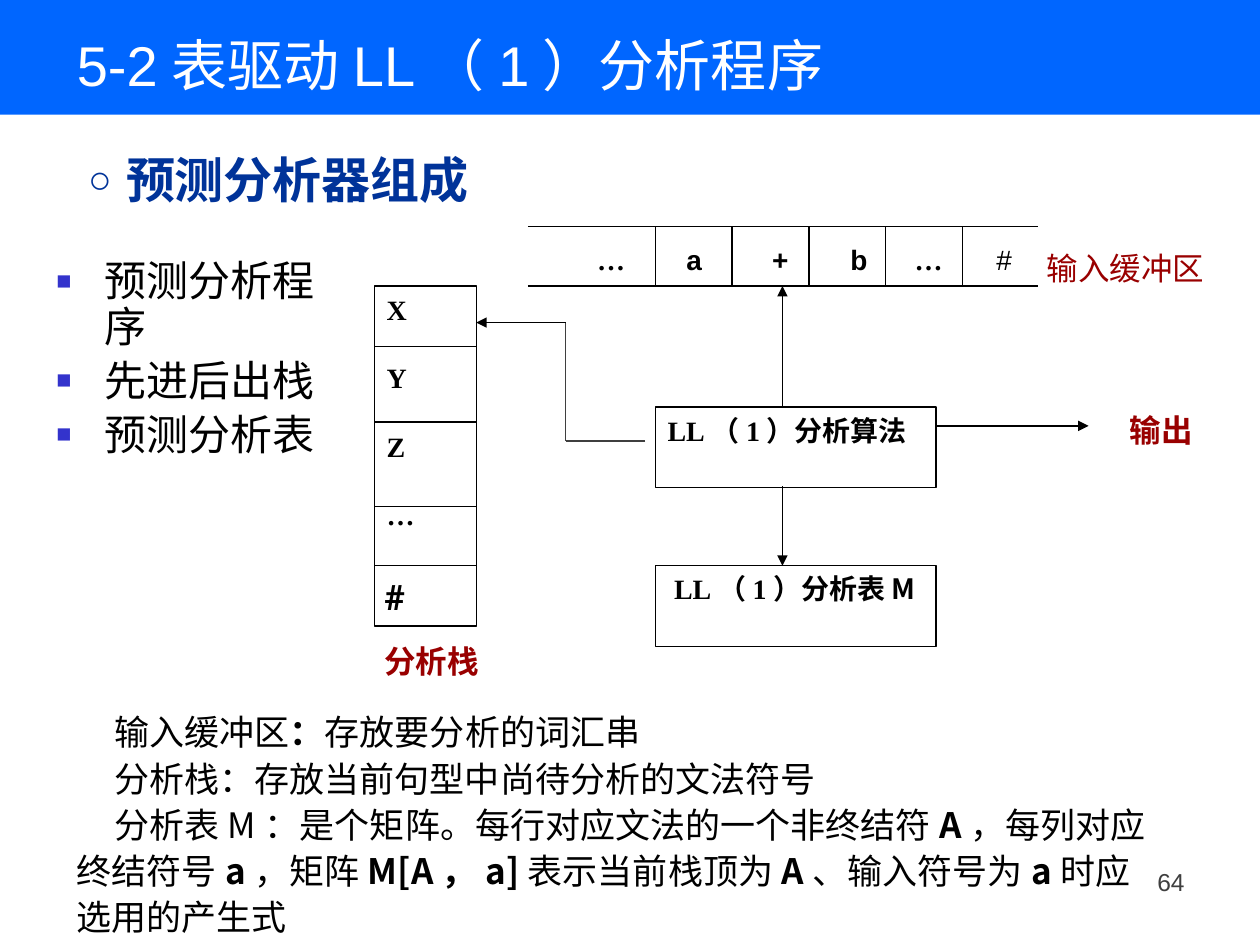
from dataclasses import dataclass

from lxml.etree import SubElement
from pptx import Presentation
from pptx.dml.color import RGBColor
from pptx.enum.shapes import MSO_CONNECTOR as Connector, MSO_SHAPE as Preset
from pptx.enum.text import MSO_ANCHOR as Anchor, PP_ALIGN as Align
from pptx.oxml.ns import qn
from pptx.util import Inches, Pt

BLACK = RGBColor(0x00, 0x00, 0x00)
WHITE = RGBColor(0xFF, 0xFF, 0xFF)
BAND_BLUE = RGBColor(0x00, 0x66, 0xFF)
HEADING_BLUE = RGBColor(0x00, 0x33, 0x99)
BULLET_BLUE = RGBColor(0x33, 0x33, 0xCC)
LABEL_RED = RGBColor(0x99, 0x00, 0x00)
GREY = RGBColor(0x3F, 0x3F, 0x3F)

SERIF = "Times New Roman"
SANS = "Arial"
CJK = "Noto Sans CJK SC"
ROBOTO = "Roboto"


@dataclass(frozen=True)
class Area:
    left: float
    top: float
    width: float
    height: float

    def lengths(self):
        return [Inches(v) for v in (self.left, self.top, self.width, self.height)]


@dataclass(frozen=True)
class Line:
    start: tuple[float, float]
    end: tuple[float, float]
    arrow: bool = False
    color: RGBColor = BLACK


@dataclass(frozen=True)
class Label:
    area: Area
    text: str
    size: float = 18
    font: str = SANS
    color: RGBColor = LABEL_RED
    bold: bool = True
    align: Align = Align.LEFT


BUFFER_LEFT, BUFFER_RIGHT, BUFFER_TOP, BUFFER_BOTTOM = 4.19, 8.24, 1.8, 2.27
STACK = Area(2.97, 2.27, 0.81, 2.7)
STACK_RIGHT = STACK.left + STACK.width
ALGORITHM = Area(5.2, 3.23, 2.23, 0.64)
TABLE = Area(5.2, 4.49, 2.23, 0.64)
ARROW_X, ELBOW_X = 6.21, 4.49

LINES = [
    *(Line((BUFFER_LEFT, y), (BUFFER_RIGHT, y)) for y in (BUFFER_TOP, BUFFER_BOTTOM)),
    *(Line((5.2 + 0.61 * i, BUFFER_TOP), (5.2 + 0.61 * i, BUFFER_BOTTOM)) for i in range(5)),
    *(Line((STACK.left, y), (STACK_RIGHT, y)) for y in (2.75, 3.35, 4.02, 4.49)),
    Line((ARROW_X, ALGORITHM.top), (ARROW_X, BUFFER_BOTTOM), arrow=True),
    Line((ARROW_X, 3.86), (ARROW_X, TABLE.top), arrow=True),
    Line((7.43, 3.38), (8.64, 3.38), arrow=True),
    Line((5.12, 3.5), (ELBOW_X, 3.5), color=GREY),
    Line((ELBOW_X, 3.5), (ELBOW_X, 2.56), color=GREY),
    Line((ELBOW_X, 2.56), (STACK_RIGHT, 2.56), arrow=True),
]

LABELS = [
    Label(Area(8.21, 1.93, 1.73, 0.4), "输入缓冲区", bold=False),
    Label(Area(2.95, 5.05, 1.25, 0.4), "分析栈", font=SERIF),
    Label(Area(8.87, 3.21, 0.83, 0.4), "输出"),
    Label(Area(2.95, 4.52, 0.43, 0.43), "#", size=20, font=ROBOTO, color=BLACK),
    Label(Area(7.17, 6.83, 2.33, 0.52), "64", size=14, color=GREY, bold=False, align=Align.RIGHT),
]

BUFFER_SYMBOLS = [
    ("…", SERIF, True), ("\ta", SANS, True), ("\t+", SANS, True),
    ("\tb", SANS, True), ("\t…", SERIF, True), ("\t#", SANS, False),
]
BUFFER_TABS = (0.71, 1.39, 2.01, 2.52, 3.17)

NOTES = [
    [("输入缓冲区", SANS, False), ("：", SANS, True), ("存放要分析的词汇串", SANS, False)],
    [("分析栈：", SERIF, False), ("存放当前句型中尚待分析的文法符号", ROBOTO, False)],
    [
        (text, CJK, index % 2 == 1)
        for index, text in enumerate((
            "分析表M：是个矩阵。每行对应文法的一个非终结符", "A", "，每列对应终结符号", "a",
            "，矩阵", "M[A，a]", "表示当前栈顶为", "A", "、输入符号为", "a", "时应选用的产生式",
        ))
    ],
]


def add_span(para, text: str, *, size: float, font: str = SANS,
             color: RGBColor = BLACK, bold: bool = False) -> None:
    span = para.add_run()
    span.text = text
    span.font.size = Pt(size)
    span.font.name = font
    span.font.bold = bold
    span.font.color.rgb = color


def next_para(frame, index: int):
    return frame.add_paragraph() if index else frame.paragraphs[0]


def place(shape, area: Area) -> None:
    shape.left, shape.top, shape.width, shape.height = area.lengths()


def add_box(page, area: Area):
    frame = page.shapes.add_textbox(*area.lengths()).text_frame
    frame.word_wrap = True
    return frame


def add_rectangle(page, area: Area, fill: RGBColor, outline: RGBColor | None = BLACK):
    shape = page.shapes.add_shape(Preset.RECTANGLE, *area.lengths())
    shape.shadow.inherit = False
    shape.fill.solid()
    shape.fill.fore_color.rgb = fill
    if outline is None:
        shape.line.fill.background()
    else:
        shape.line.color.rgb = outline
        shape.line.width = Pt(0.75)
    shape.text_frame.vertical_anchor = Anchor.TOP
    shape.text_frame.paragraphs[0].alignment = Align.LEFT
    return shape


def add_line(page, line: Line) -> None:
    ends = [Inches(v) for v in (*line.start, *line.end)]
    connector = page.shapes.add_connector(Connector.STRAIGHT, *ends)
    connector.line.color.rgb = line.color
    connector.line.width = Pt(0.75)
    if line.arrow:
        SubElement(connector.line._get_or_add_ln(), qn("a:tailEnd"), type="triangle")
    SubElement(connector.element.spPr, qn("a:effectLst"))


def set_bullet(para, char: str, color: RGBColor, percent: int, indent: float) -> None:
    props = para._p.get_or_add_pPr()
    props.set("marL", str(Inches(indent)))
    props.set("indent", str(-Inches(0.3 if indent == 0.39 else indent)))
    SubElement(SubElement(props, qn("a:buClr")), qn("a:srgbClr"), val=str(color))
    SubElement(props, qn("a:buSzPct"), val=str(percent * 1000))
    SubElement(props, qn("a:buFont"), typeface=SANS)
    SubElement(props, qn("a:buChar"), char=char)


def add_headings(page) -> None:
    title, body = page.shapes.title, page.placeholders[1]
    band = add_rectangle(page, Area(0, 0, 10, 0.91), BAND_BLUE, None)
    title.element.addprevious(band.element)
    place(title, Area(0.51, 0.12, 8.99, 0.78))
    title.text_frame.vertical_anchor = Anchor.MIDDLE
    para = title.text_frame.paragraphs[0]
    para.alignment = Align.LEFT
    add_span(para, "5-2表驱动LL（1）分析程序", size=32, color=WHITE)

    place(body, Area(0.51, 1.14, 8.99, 5.59))
    para = body.text_frame.paragraphs[0]
    para.space_before = Pt(0)
    set_bullet(para, "○", HEADING_BLUE, 80, 0.39)
    add_span(para, "预测分析器组成", size=28, color=HEADING_BLUE, bold=True)


def add_parts_list(page) -> None:
    frame = add_box(page, Area(0.35, 2.02, 2.44, 1.86))
    for index, text in enumerate(("预测分析程序", "先进后出栈", "预测分析表")):
        para = next_para(frame, index)
        para.line_spacing = 0.9
        para.space_before = Pt(5 if index else 0)
        set_bullet(para, "■", BULLET_BLUE, 60, 0.38)
        add_span(para, text, size=24, font=ROBOTO)


def add_diagram(page) -> None:
    stack = add_rectangle(page, STACK, WHITE)
    for index, symbol in enumerate("XYZ…"):
        para = next_para(stack.text_frame, index)
        para.alignment = Align.LEFT
        para.space_before = Pt(20 if index else 0)
        add_span(para, symbol, size=16, font=SERIF, bold=True)

    for area, name, margin in ((ALGORITHM, "分析算法", 0.1), (TABLE, "分析表M", 0.15)):
        frame = add_rectangle(page, area, WHITE).text_frame
        frame.margin_left, frame.margin_right = Inches(margin), Inches(0)
        add_span(frame.paragraphs[0], "LL（1）", size=16, font=SERIF, bold=True)
        add_span(frame.paragraphs[0], name, size=16, font=CJK, bold=True)

    for line in LINES:
        add_line(page, line)

    para = add_box(page, Area(4.64, 1.88, 4.67, 0.37)).paragraphs[0]
    tabs = SubElement(para._p.get_or_add_pPr(), qn("a:tabLst"))
    for stop in BUFFER_TABS:
        SubElement(tabs, qn("a:tab"), pos=str(Inches(stop)), algn="l")
    for text, font, bold in BUFFER_SYMBOLS:
        add_span(para, text, size=16, font=font, bold=bold)


def add_label(page, label: Label) -> None:
    para = add_box(page, label.area).paragraphs[0]
    para.alignment = label.align
    add_span(para, label.text, size=label.size, font=label.font, color=label.color, bold=label.bold)


def add_notes(page) -> None:
    frame = add_box(page, Area(0.51, 5.56, 8.83, 1.54))
    for index, pieces in enumerate(NOTES):
        para = next_para(frame, index)
        para.line_spacing = 1.1
        para._p.get_or_add_pPr().set("indent", str(Inches(0.3)))
        for text, font, bold in pieces:
            add_span(para, text, size=20, font=font, bold=bold)


def main() -> None:
    deck = Presentation()
    deck.slide_width, deck.slide_height = Inches(10), Inches(7.5)
    page = deck.slides.add_slide(deck.slide_layouts[1])
    add_headings(page)
    add_notes(page)
    add_diagram(page)
    for label in LABELS:
        add_label(page, label)
    add_parts_list(page)
    deck.save("out.pptx")


if __name__ == "__main__":
    main()
